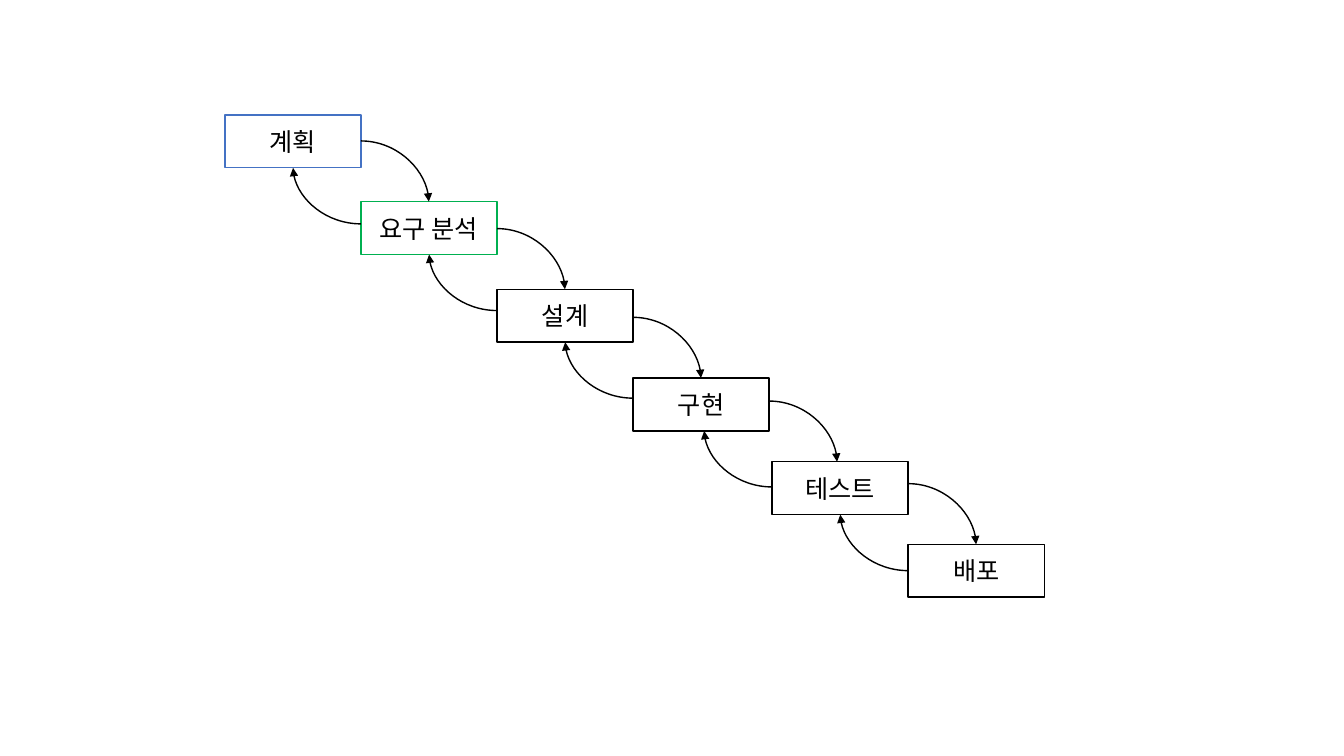
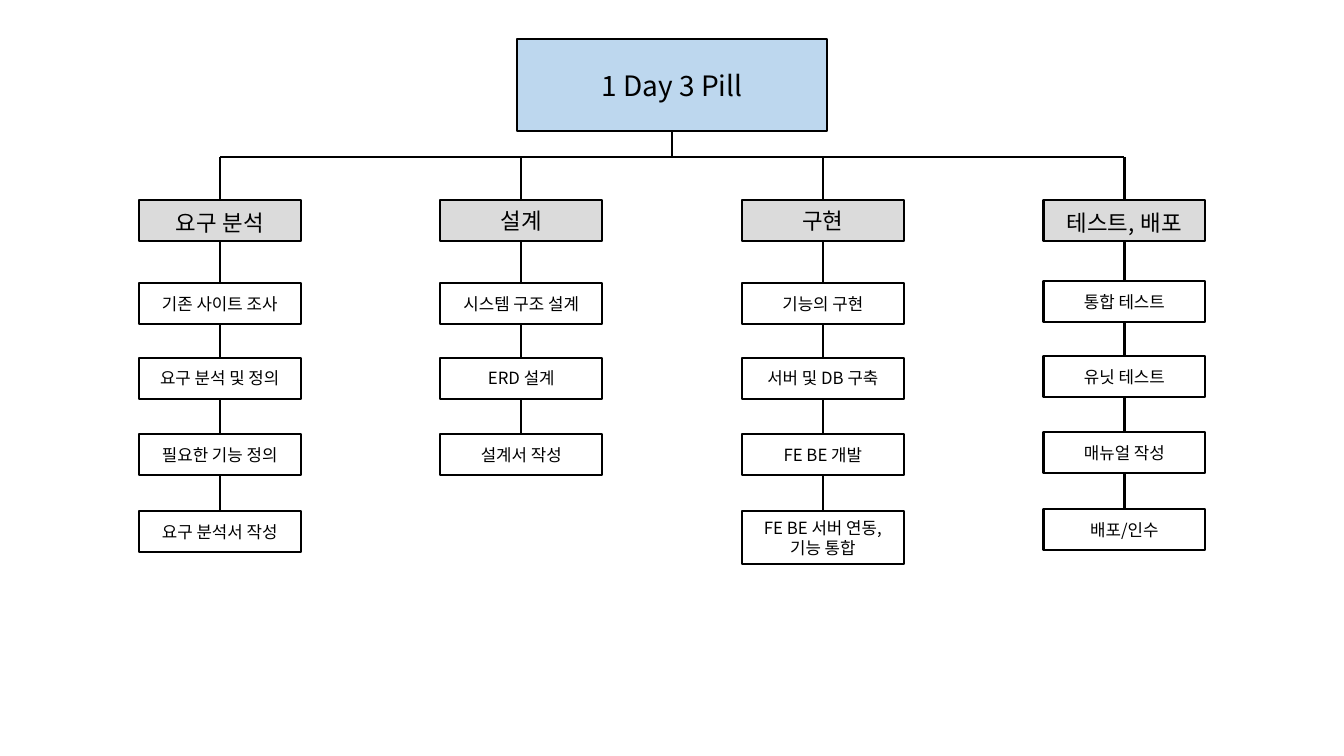
from itertools import pairwise

from lxml import etree
from pptx import Presentation
from pptx.dml.color import RGBColor
from pptx.enum.shapes import MSO_CONNECTOR, MSO_SHAPE
from pptx.enum.text import MSO_ANCHOR, PP_ALIGN
from pptx.oxml.ns import qn
from pptx.util import Pt

RECTANGLE = MSO_SHAPE.RECTANGLE
STRAIGHT, CURVE = MSO_CONNECTOR.STRAIGHT, MSO_CONNECTOR.CURVE
CENTER, MIDDLE = PP_ALIGN.CENTER, MSO_ANCHOR.MIDDLE

FONT = "Noto Sans CJK KR"
BLACK = RGBColor(0x00, 0x00, 0x00)
WHITE = RGBColor(0xFF, 0xFF, 0xFF)
BLUE = RGBColor(0x44, 0x72, 0xC4)
GREEN = RGBColor(0x00, 0xB0, 0x50)
PALE_BLUE = RGBColor(0xBD, 0xD7, 0xEE)
GRAY = RGBColor(0xDB, 0xDB, 0xDB)

# Waterfall: name, left, top, outline
STAGES = [
    ("계획", 160.6, 82.1, BLUE),
    ("요구 분석", 257.8, 144, GREEN),
    ("설계", 355, 206.6, BLACK),
    ("구현", 452.2, 270, BLACK),
    ("테스트", 551.5, 329.8, BLACK),
    ("배포", 648.7, 388.8, BLACK),
]
STAGE_WIDTH, STAGE_HEIGHT = 97.2, 37.8
ARROW_WIDTH, FORWARD_HEIGHT, BACK_HEIGHT = 48.5, 43.3, 40

# Work breakdown: phase, upward shift of its tasks, tasks
PHASES = [
    ("요구 분석", 0, ["기존 사이트 조사", "요구 분석 및 정의", "필요한 기능 정의", "요구 분석서 작성"]),
    ("설계", 0, ["시스템 구조 설계", "ERD 설계", "설계서 작성"]),
    ("구현", 0, ["기능의 구현", "서버 및 DB 구축", "FE BE 개발", "FE BE 서버 연동, 기능 통합"]),
    ("테스트, 배포", 1.4, ["통합 테스트", "유닛 테스트", "매뉴얼 작성", "배포/인수"]),
]
ROOT_LEFT, ROOT_TOP, ROOT_WIDTH, ROOT_HEIGHT = 369.2, 28, 221.6, 65.6
BUS_TOP = 112.3
PHASE_LEFT, PHASE_TOP, PHASE_PITCH = 99.2, 142.8, 215.4
NODE_WIDTH, NODE_HEIGHT, TALL_NODE_HEIGHT = 115.6, 29.1, 37.8
TASK_TOPS = [202.2, 255.6, 310.1, 365]


def format_run(run, size):
    """Give a run the deck font for Latin and Korean text."""
    run.font.size = Pt(size)
    run.font.name = FONT
    run.font.color.rgb = BLACK
    east_asian = etree.SubElement(run.font._element, qn("a:ea"))
    east_asian.set("typeface", FONT)


def add_box(slide, text, left, top, width, height, size,
            fill=WHITE, outline=BLACK, weight=1.5):
    """Add a rectangle with centred text and return its paragraph."""
    box = slide.shapes.add_shape(RECTANGLE, Pt(left), Pt(top), Pt(width), Pt(height))
    box.shadow.inherit = False
    box.fill.solid()
    box.fill.fore_color.rgb = fill
    box.line.color.rgb = outline
    box.line.width = Pt(weight)
    box.text_frame.text = text
    box.text_frame.word_wrap = True
    box.text_frame.vertical_anchor = MIDDLE
    paragraph = box.text_frame.paragraphs[0]
    paragraph.alignment = CENTER
    for run in paragraph.runs:
        format_run(run, size)
    return paragraph


def add_phase_heading(slide, name, left):
    """Add a gray phase box whose word gap is set larger than its words."""
    first, gap, second = name.partition(" ")
    paragraph = add_box(slide, first, left, PHASE_TOP, NODE_WIDTH, NODE_HEIGHT, 16, GRAY)
    if gap:
        for piece, size in ((gap, 20), (second, 16)):
            run = paragraph.add_run()
            run.text = piece
            format_run(run, size)


def add_line(slide, kind, start, end, weight):
    """Add a black connector without shadow."""
    line = slide.shapes.add_connector(kind, *map(Pt, (*start, *end)))
    line.line.color.rgb = BLACK
    line.line.width = Pt(weight)
    etree.SubElement(line._element.spPr, qn("a:effectLst"))
    return line


def add_curved_arrow(slide, left, top, height, backward=False):
    """Add a quarter-turn arrow; backward turns it by 180 degrees."""
    arrow = add_line(slide, CURVE, (left, top), (left + ARROW_WIDTH, top + height), 1)
    properties = arrow._element.spPr
    properties.find(qn("a:prstGeom")).set("prst", "curvedConnector2")
    if backward:
        properties.find(qn("a:xfrm")).set("rot", "10800000")
    head = etree.SubElement(properties.find(qn("a:ln")), qn("a:tailEnd"))
    head.set("type", "triangle")


def build_waterfall(slide):
    """Draw the descending stages with arrows in both directions."""
    for name, left, top, outline in STAGES:
        add_box(slide, name, left, top, STAGE_WIDTH, STAGE_HEIGHT, 18,
                outline=outline, weight=1)
    for (_, left, top, _), (_, next_left, next_top, _) in pairwise(STAGES):
        add_curved_arrow(slide, left + STAGE_WIDTH, next_top - FORWARD_HEIGHT, FORWARD_HEIGHT)
        add_curved_arrow(slide, next_left - ARROW_WIDTH, top + STAGE_HEIGHT,
                         BACK_HEIGHT, backward=True)


def build_phase(slide, left, name, shift, tasks):
    """Draw one phase column: heading, tasks and the links between them."""
    middle = left + NODE_WIDTH / 2
    add_phase_heading(slide, name, left)
    add_line(slide, STRAIGHT, (middle, BUS_TOP), (middle, PHASE_TOP), 1.5)
    bottom = PHASE_TOP + NODE_HEIGHT
    for task, row_top in zip(tasks, TASK_TOPS):
        top = row_top - shift
        height = TALL_NODE_HEIGHT if "," in task else NODE_HEIGHT
        add_box(slide, task, left, top, NODE_WIDTH, height, 12)
        add_line(slide, STRAIGHT, (middle, bottom), (middle, top), 1.5)
        bottom = top + height


def build_breakdown(slide):
    """Draw the project box, the bus below it and the phase columns."""
    add_box(slide, "1 Day 3 Pill", ROOT_LEFT, ROOT_TOP, ROOT_WIDTH, ROOT_HEIGHT, 20, PALE_BLUE)
    lefts = [PHASE_LEFT + i * PHASE_PITCH for i in range(len(PHASES))]
    for left, phase in zip(lefts, PHASES):
        build_phase(slide, left, *phase)
    trunk = ROOT_LEFT + ROOT_WIDTH / 2
    add_line(slide, STRAIGHT, (trunk, ROOT_TOP + ROOT_HEIGHT), (trunk, BUS_TOP), 1.5)
    for left in (lefts[0], lefts[-1]):
        add_line(slide, STRAIGHT, (trunk, BUS_TOP), (left + NODE_WIDTH / 2, BUS_TOP), 1.5)


def main():
    """Build both slides and save the deck."""
    deck = Presentation()
    deck.slide_width, deck.slide_height = Pt(960), Pt(540)
    blank = deck.slide_layouts[6]
    for build in (build_waterfall, build_breakdown):
        build(deck.slides.add_slide(blank))
    deck.save("out.pptx")


main()
